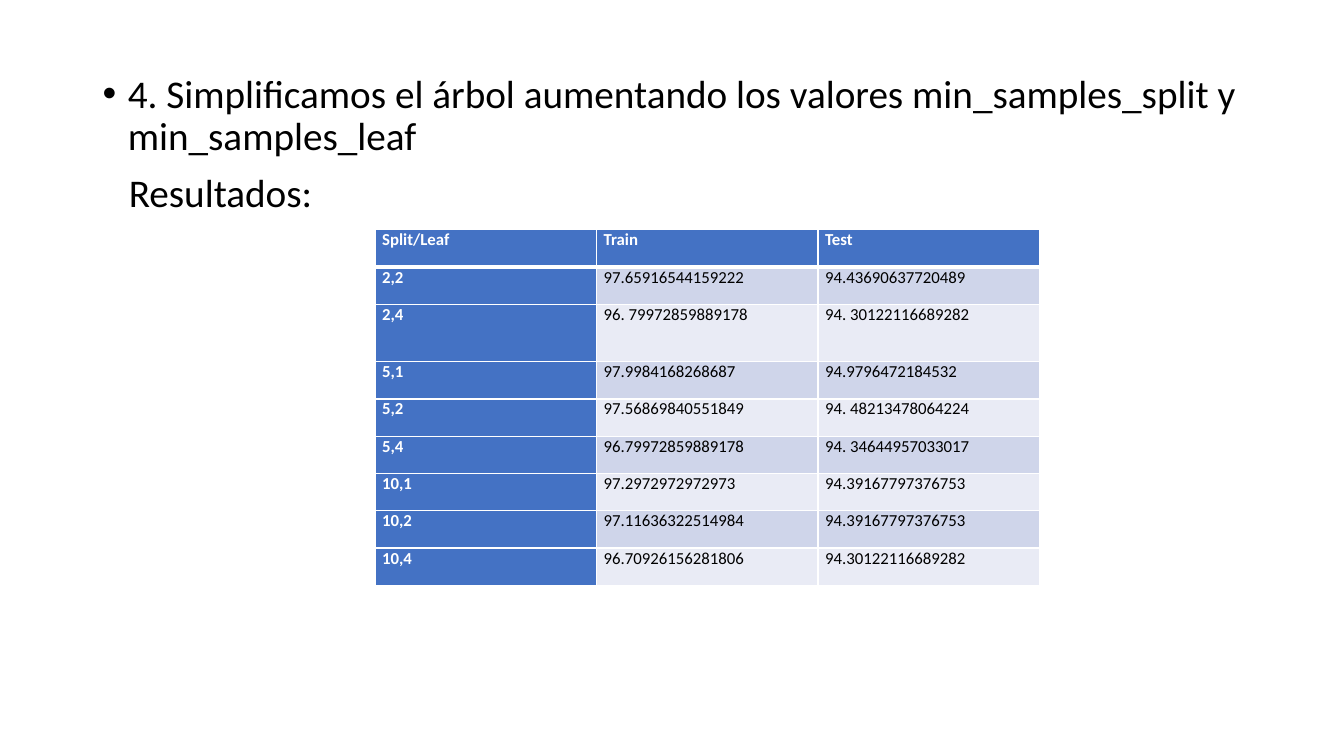
from dataclasses import dataclass

from lxml import etree
from pptx import Presentation
from pptx.dml.color import RGBColor
from pptx.oxml.ns import qn
from pptx.slide import Slide
from pptx.table import _Cell
from pptx.text.text import _Paragraph
from pptx.util import Emu, Inches, Pt

BLANK_LAYOUT = 6
SLIDE_WIDTH = Inches(13.33)
SLIDE_HEIGHT = Inches(7.5)


@dataclass(frozen=True)
class Theme:
    font: str = "Calibri"
    ink: str = "000000"
    paper: str = "FFFFFF"
    accent: str = "4472C4"
    bands: tuple[str, str] = ("CFD5EA", "E9EBF5")
    body_size: float = 28
    table_size: float = 12
    thin_border: float = 1
    thick_border: float = 3


@dataclass(frozen=True)
class Score:
    split_leaf: str
    train: str
    test: str
    height: float = 4.93


THEME = Theme()
HEADER = Score("Split/Leaf", "Train", "Test")
SCORES = [
    Score("2,2", "97.65916544159222", "94.43690637720489"),
    Score("2,4", "96. 79972859889178", "94. 30122116689282", height=7.6),
    Score("5,1", "97.9984168268687", "94.9796472184532"),
    Score("5,2", "97.56869840551849", "94. 48213478064224"),
    Score("5,4", "96.79972859889178", "94. 34644957033017"),
    Score("10,1", "97.2972972972973", "94.39167797376753"),
    Score("10,2", "97.11636322514984", "94.39167797376753"),
    Score("10,4", "96.70926156281806", "94.30122116689282"),
]


def across(percent: float) -> Emu:
    return Emu(round(SLIDE_WIDTH * percent / 100))


def down(percent: float) -> Emu:
    return Emu(round(SLIDE_HEIGHT * percent / 100))


def write(paragraph: _Paragraph, text: str, *, size: float, color: str = THEME.ink,
          bold: bool = False) -> None:
    run = paragraph.add_run()
    run.text = text
    run.font.name = THEME.font
    run.font.size = Pt(size)
    run.font.bold = bold
    run.font.color.rgb = RGBColor.from_string(color)


def indent(paragraph: _Paragraph, left: float, bullet: str = "") -> None:
    paragraph.line_spacing = 0.9
    paragraph.space_before = Pt(10)
    properties = paragraph._p.get_or_add_pPr()
    properties.set("marL", str(Inches(left)))
    if bullet:
        properties.set("indent", str(-Inches(left)))
        etree.SubElement(properties, qn("a:buFont"), typeface="Arial")
        etree.SubElement(properties, qn("a:buChar"), char=bullet)


def draw_border(cell: _Cell, side: str, width: float) -> None:
    properties = cell._tc.get_or_add_tcPr()
    line = etree.SubElement(properties, qn(f"a:ln{side}"), w=str(Pt(width)))
    solid = etree.SubElement(line, qn("a:solidFill"))
    etree.SubElement(solid, qn("a:srgbClr"), val=THEME.paper)


def draw_explanation(slide: Slide) -> None:
    explanation = slide.shapes.add_textbox(across(6.9), down(9.2), across(86.27), down(80.93))
    frame = explanation.text_frame
    frame.word_wrap = True
    step = frame.paragraphs[0]
    indent(step, 0.25, bullet="•")
    write(step, "4. Simplificamos el árbol aumentando los valores "
          "min_samples_split y min_samples_leaf", size=THEME.body_size)
    results = frame.add_paragraph()
    indent(results, 0.26)
    write(results, "Resultados:", size=THEME.body_size)


def draw_cell(cell: _Cell, text: str, row: int, column: int) -> None:
    heading = row == 0 or column == 0
    cell.margin_left = cell.margin_right = Inches(0.07)
    cell.margin_top = cell.margin_bottom = 0
    for side in "LRTB":
        under_header = (row, side) in ((0, "B"), (1, "T"))
        draw_border(cell, side, THEME.thick_border if under_header else THEME.thin_border)
    cell.fill.solid()
    fill = THEME.accent if heading else THEME.bands[(row - 1) % 2]
    cell.fill.fore_color.rgb = RGBColor.from_string(fill)
    write(cell.text_frame.paragraphs[0], text, size=THEME.table_size,
          color=THEME.paper if heading else THEME.ink, bold=heading)


def draw_scores(slide: Slide) -> None:
    rows = [HEADER, *SCORES]
    height = down(sum(score.height for score in rows))
    scores = slide.shapes.add_table(len(rows), 3, across(27.91), down(30.4),
                                    across(49.44), height).table
    for row, score in enumerate(rows):
        scores.rows[row].height = down(score.height)
        for column, text in enumerate((score.split_leaf, score.train, score.test)):
            draw_cell(scores.cell(row, column), text, row, column)


def main() -> None:
    deck = Presentation()
    deck.slide_width = SLIDE_WIDTH
    deck.slide_height = SLIDE_HEIGHT
    slide = deck.slides.add_slide(deck.slide_layouts[BLANK_LAYOUT])
    draw_explanation(slide)
    draw_scores(slide)
    deck.save("out.pptx")


if __name__ == "__main__":
    main()
